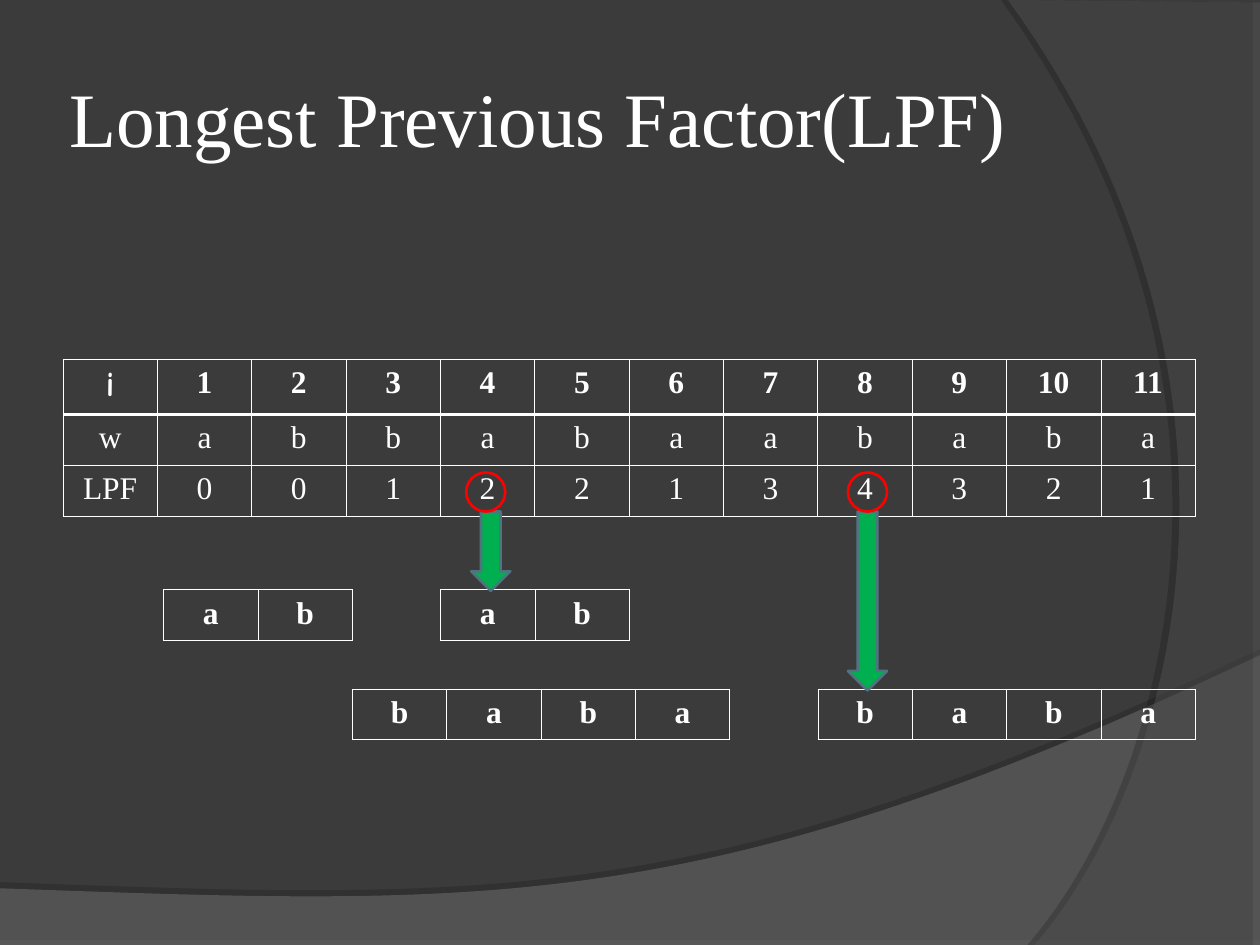
from lxml import etree
from pptx import Presentation
from pptx.dml.color import RGBColor
from pptx.enum.shapes import MSO_SHAPE
from pptx.enum.text import MSO_ANCHOR, PP_ALIGN
from pptx.oxml import parse_xml
from pptx.util import Inches, Pt

ARROW, RING = MSO_SHAPE.DOWN_ARROW, MSO_SHAPE.OVAL
CENTER, LEFT, MIDDLE = PP_ALIGN.CENTER, PP_ALIGN.LEFT, MSO_ANCHOR.MIDDLE
NS = "http://schemas.openxmlformats.org/drawingml/2006/main"
SERIF, WHITE = "Times New Roman", "FFFFFF"
THIN, THICK = 0.45, 1.47

TITLE = "Longest Previous Factor(LPF)"
LPF_ROWS = [
    ["i"] + [str(number) for number in range(1, 12)],
    ["w"] + list("abbabaababa"),
    ["LPF"] + list("00122134321"),
]
WIDTH, HEIGHT = 10, 7.5
GRID_LEFT, GRID_TOP, COLUMN = 0.5, 2.85, 0.749
ROW_HEIGHTS = [0.44, 0.4, 0.41]
EARLIER_SHIFT = 0.05
FACTORS = [
    {"word": "ab", "earlier": 1, "later": 4, "top": 4.68, "ring": 3.7, "arrow": 3.74},
    {"word": "baba", "earlier": 3, "later": 8, "top": 5.47, "ring": 6.73, "arrow": 6.73},
]
RING_TOP, RING_SIZE = 3.75, 0.31
WAVES = [
    {"start": (0, 7.05), "lines": [(0, 7.51), (10, 7.51), (10, 5.2)],
     "curve": [(5.59, 7.29), (3.91, 7.19), (0, 7.05)],
     "color": "7C7C7C", "alpha": 45, "shadow": (35, 3.5, 270)},
    {"start": (10, 0.02), "lines": [(10, 7.5), (8.21, 7.5)],
     "curve": [(9.35, 6.19), (10.18, 3), (8, 0)],
     "color": "595959", "alpha": 40, "shadow": (45, 4, 180)},
]


def rgb(value):
    return RGBColor.from_string(value)


def write(frame, text, font=SERIF, size=18, bold=False, align=CENTER):
    para = frame.paragraphs[0]
    para.alignment = align
    span = para.add_run()
    span.text = text
    span.font.name, span.font.size, span.font.bold = font, Pt(size), bold
    span.font.color.rgb = rgb(WHITE)


def bezier(points, steps=60):
    for step in range(1, steps + 1):
        t = step / steps
        weights = ((1 - t) ** 3, 3 * t * (1 - t) ** 2, 3 * t * t * (1 - t), t ** 3)
        yield tuple(sum(w * p[axis] for w, p in zip(weights, points)) for axis in (0, 1))


def add_wave(page, wave):
    points = wave["lines"] + list(bezier([wave["lines"][-1]] + wave["curve"]))
    builder = page.shapes.build_freeform(*map(Inches, wave["start"]))
    builder.add_line_segments([(Inches(x), Inches(y)) for x, y in points], close=True)
    shape = builder.convert_to_shape()
    shape.fill.solid()
    shape.fill.fore_color.rgb = rgb(wave["color"])
    shape.line.fill.background()
    color = shape.fill._xPr.find(f".//{{{NS}}}srgbClr")
    etree.SubElement(color, f"{{{NS}}}alpha", val=str(wave["alpha"] * 1000))
    opacity, distance, angle = wave["shadow"]
    shape._element.spPr.append(parse_xml(
        f'<a:effectLst xmlns:a="{NS}"><a:outerShdw blurRad="0" dist="{Pt(distance)}" '
        f'dir="{angle * 60000}" algn="ctr" rotWithShape="0"><a:srgbClr val="000000">'
        f'<a:alpha val="{opacity * 1000}"/></a:srgbClr></a:outerShdw></a:effectLst>'))


def set_borders(cell, top, bottom):
    cell.fill.background()
    properties = cell._tc.get_or_add_tcPr()
    sides = [("L", THIN), ("R", THIN), ("T", top), ("B", bottom)]
    for index, (side, width) in enumerate(sides):
        properties.insert(index, parse_xml(
            f'<a:ln{side} xmlns:a="{NS}" w="{Pt(width)}"><a:solidFill>'
            f'<a:srgbClr val="{WHITE}"/></a:solidFill></a:ln{side}>'))


def add_grid(page, rows, left, top, heights):
    columns = len(rows[0])
    table = page.shapes.add_table(len(rows), columns, Inches(left), Inches(top),
                                  Inches(columns * COLUMN), Inches(sum(heights))).table
    table.first_row = table.horz_banding = False
    for column in table.columns:
        column.width = Inches(COLUMN)
    for r, (texts, height) in enumerate(zip(rows, heights)):
        table.rows[r].height = Inches(height)
        for c, text in enumerate(texts):
            cell = table.cell(r, c)
            corner = {"font": "Comic Neue", "size": 20} if text == "i" else {}
            write(cell.text_frame, text, bold=r == 0, **corner)
            set_borders(cell, THICK if r == 1 else THIN,
                        THICK if r == 0 and len(rows) > 1 else THIN)


def add_mark(page, kind, left, top, width, height, line, fill=None):
    shape = page.shapes.add_shape(kind, *map(Inches, (left, top, width, height)))
    shape.shadow.inherit = False
    if fill:
        shape.fill.solid()
        shape.fill.fore_color.rgb = rgb(fill)
    else:
        shape.fill.background()
    shape.line.color.rgb = rgb(line)
    shape.line.width = Pt(1.5)


def main():
    deck = Presentation()
    deck.slide_width, deck.slide_height = Inches(WIDTH), Inches(HEIGHT)
    page = deck.slides.add_slide(deck.slide_layouts[6])
    page.background.fill.solid()
    page.background.fill.fore_color.rgb = rgb("3B3B3B")
    for wave in WAVES:
        add_wave(page, wave)

    box = page.shapes.add_textbox(*map(Inches, (GRID_LEFT, 0.3, 12 * COLUMN, 1.25)))
    frame = box.text_frame
    frame.word_wrap, frame.vertical_anchor = True, MIDDLE
    frame.margin_left = frame.margin_right = Inches(0.05)
    write(frame, TITLE, size=44, align=LEFT)

    add_grid(page, LPF_ROWS, GRID_LEFT, GRID_TOP, ROW_HEIGHTS)
    for factor in FACTORS:
        for column, shift in ((factor["later"], 0), (factor["earlier"], EARLIER_SHIFT)):
            left = GRID_LEFT + column * COLUMN + shift
            add_grid(page, [list(factor["word"])], left, factor["top"], [0.4])
    arrow_top = RING_TOP + RING_SIZE
    for factor in FACTORS:
        add_mark(page, ARROW, factor["arrow"], arrow_top, RING_SIZE,
                 factor["top"] - arrow_top + 0.01, "4F7480", fill="00B050")
    for factor in FACTORS:
        add_mark(page, RING, factor["ring"], RING_TOP, RING_SIZE, RING_SIZE, "FF0000")
    deck.save("out.pptx")


if __name__ == "__main__":
    main()
